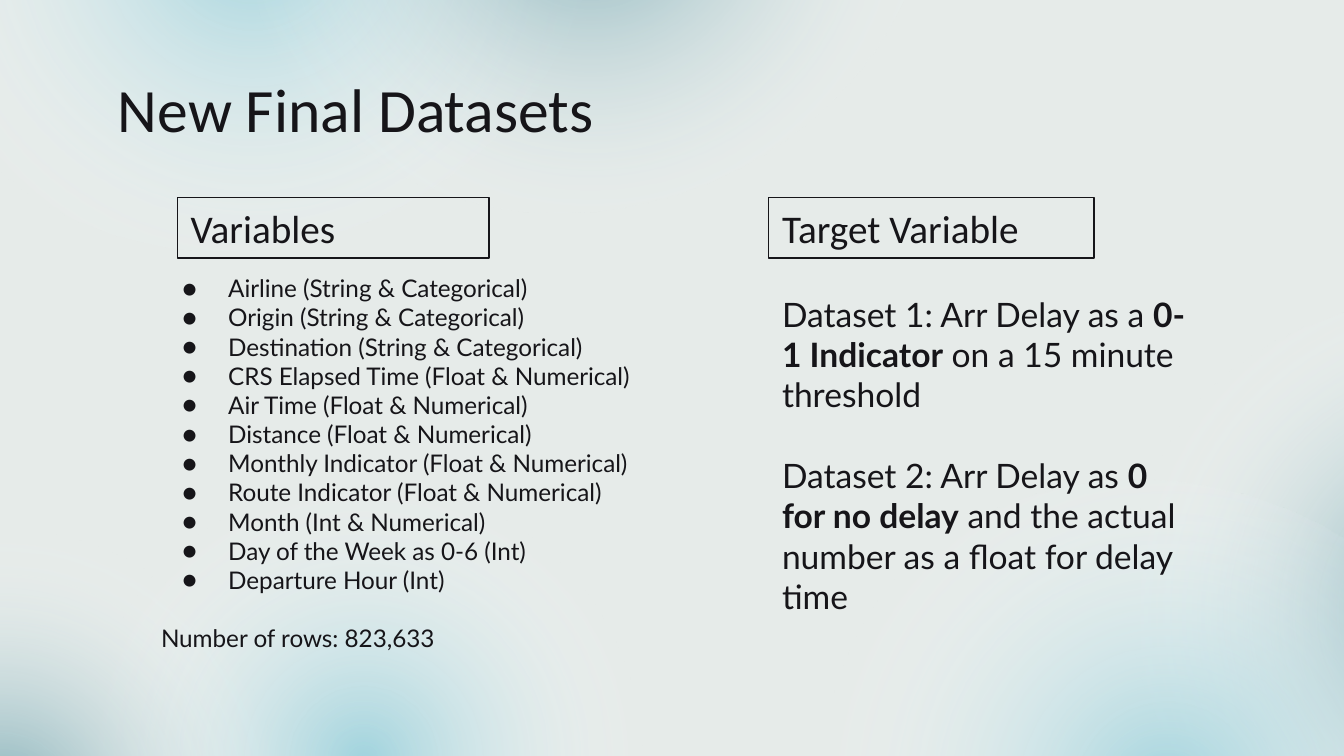
from pptx import Presentation
from pptx.dml.color import RGBColor
from pptx.enum.shapes import MSO_SHAPE
from pptx.enum.text import MSO_ANCHOR, PP_ALIGN
from pptx.oxml import parse_xml
from pptx.oxml.ns import nsdecls
from pptx.util import Inches, Pt

RECTANGLE, OVAL = MSO_SHAPE.RECTANGLE, MSO_SHAPE.OVAL
MIDDLE, TOP = MSO_ANCHOR.MIDDLE, MSO_ANCHOR.TOP
LEFT = PP_ALIGN.LEFT

INK = RGBColor(0x16, 0x15, 0x19)
PAPER = RGBColor(0xE6, 0xEB, 0xE9)
TEAL = RGBColor(0x4E, 0x90, 0x9E)
AQUA = RGBColor(0x80, 0xC8, 0xD8)

WIDTH = 10
HEIGHT = WIDTH * 9 / 16
COLUMNS = 100
ROWS = COLUMNS * 9 / 16  # square grid cells
HEADING_FONT, BODY_FONT = "Calibri", "Lato"
LINE_SPACING = 1.2  # natural line height of the body font
GLOW_SIZE = (52.2, 46)

VARIABLES = [
    "Airline (String & Categorical)",
    "Origin (String & Categorical)",
    "Destination (String & Categorical)",
    "CRS Elapsed Time (Float & Numerical)",
    "Air Time (Float & Numerical)",
    "Distance (Float & Numerical)",
    "Monthly Indicator (Float & Numerical)",
    "Route Indicator (Float & Numerical)",
    "Month (Int & Numerical)",
    "Day of the Week as 0-6 (Int)",
    "Departure Hour (Int)",
]

# Each dataset is a list of (text, bold) runs
DATASETS = [
    [("Dataset 1: Arr Delay as a ", False), ("0-1 Indicator", True),
     (" on a 15 minute threshold", False)],
    [("Dataset 2: Arr Delay as ", False), ("0 for no delay", True),
     (" and the actual number as a float for delay time", False)],
]

# Column, row, rotation, colour, opacity in percent
GLOWS = [
    (83.5, 22.6, 200.6, TEAL, 81),
    (60.7, 36.1, 200.6, AQUA, 68),
    (-7.4, -27.9, 157, AQUA, 68),
    (17.8, -30.7, 157, TEAL, 68),
    (0.9, 33.5, 271.8, AQUA, 68),
    (-26.1, 37.1, 271.8, TEAL, 68),
]


class SlideBuilder:
    def __init__(self, slide):
        self.slide = slide
        slide.background.fill.solid()
        slide.background.fill.fore_color.rgb = PAPER

    def box(self, column, row, columns, rows):
        x_unit, y_unit = WIDTH / COLUMNS, HEIGHT / ROWS
        return (Inches(column * x_unit), Inches(row * y_unit),
                Inches(columns * x_unit), Inches(rows * y_unit))

    def glow(self, column, row, rotation, color, opacity):
        shape = self.slide.shapes.add_shape(
            OVAL, *self.box(column, row, *GLOW_SIZE))
        shape.rotation = rotation
        shape.shadow.inherit = False
        shape.line.fill.background()
        shape.fill.background()
        stops = "".join(
            f'<a:gs pos="{position * 1000}"><a:srgbClr val="{stop_color}">'
            f'<a:alpha val="{alpha * 1000}"/></a:srgbClr></a:gs>'
            for position, stop_color, alpha in
            [(0, color, opacity), (58, "FFFFFF", 0), (100, "FFFFFF", 0)])
        gradient = parse_xml(
            f'<a:gradFill {nsdecls("a")} rotWithShape="1"><a:gsLst>{stops}</a:gsLst>'
            '<a:path path="circle"><a:fillToRect l="50000" t="50000" '
            'r="50000" b="50000"/></a:path></a:gradFill>')
        properties = shape._element.spPr
        properties.replace(properties.find("{*}noFill"), gradient)

    def frame(self, shape, anchor):
        text_frame = shape.text_frame
        text_frame.word_wrap = True
        text_frame.vertical_anchor = anchor
        text_frame.margin_left = text_frame.margin_right = Inches(0.1)
        text_frame.margin_top = text_frame.margin_bottom = Inches(0.1)
        return text_frame

    def runs(self, paragraph, parts, size, font):
        paragraph.alignment = LEFT
        for text, bold in parts:
            run = paragraph.add_run()
            run.text = text
            run.font.name = font
            run.font.size = Pt(size)
            run.font.bold = bold
            run.font.color.rgb = INK

    def title(self, text, *place):
        shape = self.slide.shapes.add_textbox(*self.box(*place))
        paragraph = self.frame(shape, MIDDLE).paragraphs[0]
        self.runs(paragraph, [(text, False)], 33, HEADING_FONT)

    def heading(self, text, *place):
        shape = self.slide.shapes.add_shape(RECTANGLE, *self.box(*place))
        shape.shadow.inherit = False
        shape.fill.background()
        shape.line.color.rgb = INK
        shape.line.width = Pt(0.75)
        paragraph = self.frame(shape, MIDDLE).paragraphs[0]
        self.runs(paragraph, [(text, False)], 21, HEADING_FONT)

    def bullet(self, paragraph, size):
        properties = paragraph._p.get_or_add_pPr()
        properties.set("marL", str(Inches(0.5)))
        properties.set("indent", str(Inches(-0.34)))
        for element in (
                f'<a:buClr {nsdecls("a")}><a:srgbClr val="{INK}"/></a:buClr>',
                f'<a:buSzPts {nsdecls("a")} val="{size * 100}"/>',
                f'<a:buFont {nsdecls("a")} typeface="{BODY_FONT}"/>',
                f'<a:buChar {nsdecls("a")} char="●"/>'):
            properties.append(parse_xml(element))

    def body(self, paragraphs, size, anchor, *place, bullets=0, gaps=()):
        """Bullet the first paragraphs; open one line before those in gaps."""
        shape = self.slide.shapes.add_textbox(*self.box(*place))
        text_frame = self.frame(shape, anchor)
        for index, parts in enumerate(paragraphs):
            paragraph = (text_frame.add_paragraph() if index
                         else text_frame.paragraphs[0])
            if index < bullets:
                self.bullet(paragraph, size)
            if index in gaps:
                paragraph.space_before = Pt(size * LINE_SPACING)
            self.runs(paragraph, parts, size, BODY_FONT)


def main():
    presentation = Presentation()
    presentation.slide_width = Inches(WIDTH)
    presentation.slide_height = Inches(HEIGHT)
    slide = presentation.slides.add_slide(presentation.slide_layouts[6])
    builder = SlideBuilder(slide)

    # Soft background glows
    for glow in GLOWS:
        builder.glow(*glow)

    builder.title("New Final Datasets", 7.8, 4.9, 84.4, 6.3)

    # Left column: variables and row count
    builder.heading("Variables", 13.2, 14.7, 23.2, 4.5)
    lines = [[(text, False)] for text in VARIABLES + ["Number of rows: 823,633"]]
    builder.body(lines, 13, TOP, 11, 19.35, 37.6, 30.5,
                 bullets=len(VARIABLES), gaps=[len(VARIABLES)])

    # Right column: target variable
    builder.heading("Target Variable", 57.2, 14.7, 24.2, 4.5)
    builder.body(DATASETS, 18, MIDDLE, 57.2, 25.2, 32.9, 17.3, gaps=[1])

    presentation.save("out.pptx")


if __name__ == "__main__":
    main()
